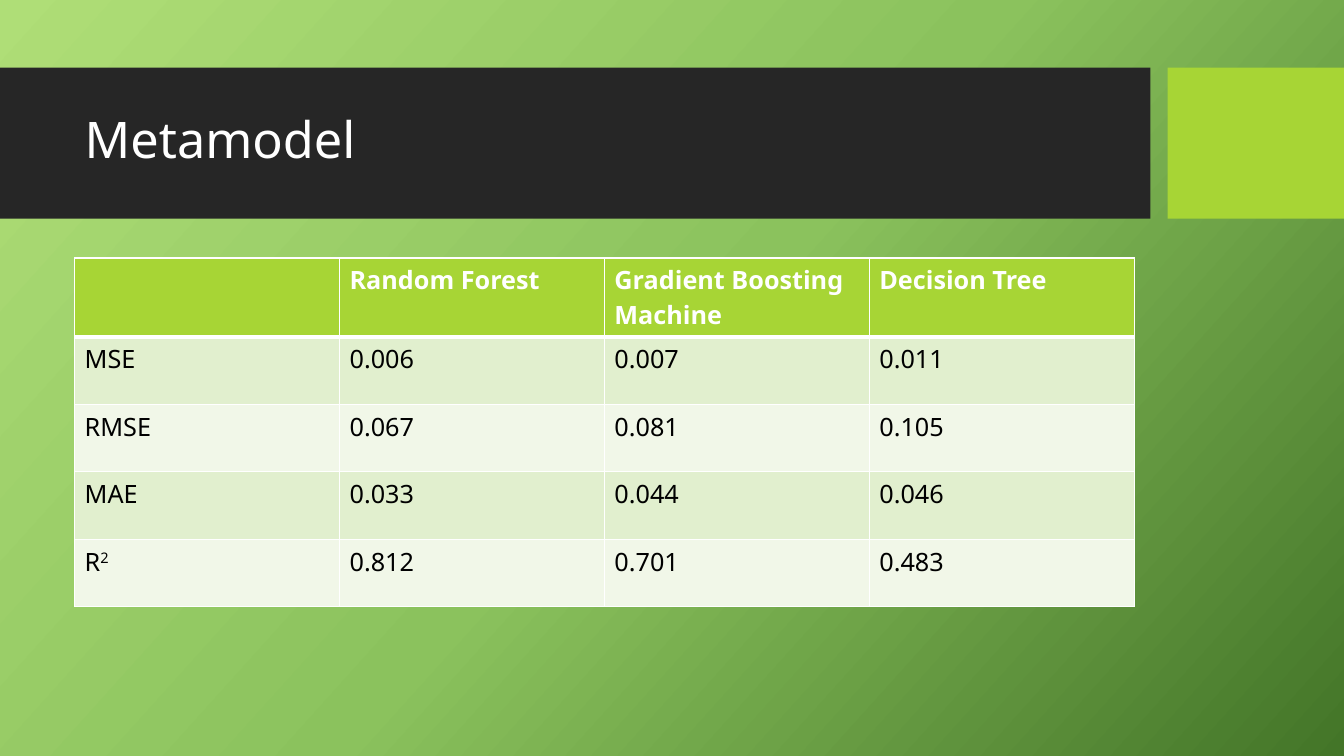
from copy import deepcopy
from typing import NamedTuple

from lxml import etree
from pptx import Presentation
from pptx import util as u
from pptx.dml.color import RGBColor
from pptx.enum import shapes, text
from pptx.oxml.ns import qn

FONT = "Noto Sans"
WHITE, BLACK, DARK, LIME = "FFFFFF", "000000", "262626", "A7D535"
ROW_FILLS = ("E1EFCE", "F1F7E8")


class Block(NamedTuple):
    left: float
    width: float
    color: str


class Metric(NamedTuple):
    name: str
    values: tuple[str, ...]
    superscript: str = ""


BLOCKS = (Block(0, 11.41, DARK), Block(11.58, 1.75, LIME))
MODELS = ("Random Forest", "Gradient Boosting Machine", "Decision Tree")
METRICS = (
    Metric("MSE", ("0.006", "0.007", "0.011")),
    Metric("RMSE", ("0.067", "0.081", "0.105")),
    Metric("MAE", ("0.033", "0.044", "0.046")),
    Metric("R", ("0.812", "0.701", "0.483"), "2"),
)


def rgb(color: str) -> RGBColor:
    return RGBColor.from_string(color)


def add_run(p, words: str, size: float, color: str, bold: bool = False):
    r = p.add_run()
    r.text = words
    r.font.name, r.font.size, r.font.bold = FONT, u.Pt(size), bold
    r.font.color.rgb = rgb(color)
    return r


def set_background(slide, colors: tuple[str, ...], angle: float) -> None:
    fill = slide.background.fill
    fill.gradient()
    fill.gradient_angle = 360 - angle
    stops = slide.element.find(".//" + qn("a:gsLst"))
    while len(stops) < len(colors):
        stops.append(deepcopy(stops[-1]))
    for i, (stop, color) in enumerate(zip(fill.gradient_stops, colors)):
        stop.color.rgb = rgb(color)
        stop.position = i / (len(colors) - 1)


def add_block(slide, block: Block) -> None:
    sp = slide.shapes.add_shape(
        shapes.MSO_SHAPE.RECTANGLE, u.Inches(block.left), u.Inches(0.67),
        u.Inches(block.width), u.Inches(1.5))
    sp.shadow.inherit = False
    sp.fill.solid()
    sp.fill.fore_color.rgb = rgb(block.color)
    sp.line.fill.background()


def style_cell(cell, color: str, top: float, bottom: float) -> None:
    tc_pr = cell._tc.get_or_add_tcPr()
    for side, width in (("L", 1), ("R", 1), ("T", top), ("B", bottom)):
        ln = etree.SubElement(tc_pr, qn(f"a:ln{side}"), w=str(u.Pt(width)))
        solid = etree.SubElement(ln, qn("a:solidFill"))
        etree.SubElement(solid, qn("a:srgbClr"), val=WHITE)
    cell.fill.solid()
    cell.fill.fore_color.rgb = rgb(color)


prs = Presentation()
prs.slide_width, prs.slide_height = u.Inches(13.33), u.Inches(7.5)
slide = prs.slides.add_slide(prs.slide_layouts[5])

# Background and title band
set_background(slide, ("AFDE77", "8BC25D", "437528"), 42)
for block in BLOCKS:
    add_block(slide, block)

# Title, brought in front of the band
title = slide.shapes.title
title.element.getparent().append(title.element)
title.left, title.top = u.Inches(0.74), u.Inches(0.82)
title.width, title.height = u.Inches(10.51), u.Inches(1.18)
tf = title.text_frame
tf.word_wrap = True
tf.vertical_anchor = text.MSO_ANCHOR.MIDDLE
p = tf.paragraphs[0]
p.alignment, p.line_spacing = text.PP_ALIGN.LEFT, 0.9
add_run(p, "Metamodel", 36, WHITE)

# Table of error metrics by model
table = slide.shapes.add_table(
    len(METRICS) + 1, len(MODELS) + 1, u.Inches(0.74), u.Inches(2.56),
    u.Inches(10.51), u.Inches(3.35)).table
for col, model in enumerate(("", *MODELS)):
    cell = table.cell(0, col)
    style_cell(cell, LIME, 1, 3)
    if model:
        add_run(cell.text_frame.paragraphs[0], model, 18, WHITE, True)

for row, metric in enumerate(METRICS, 1):
    for col, words in enumerate((metric.name, *metric.values)):
        cell = table.cell(row, col)
        style_cell(cell, ROW_FILLS[(row - 1) % 2], 3 if row == 1 else 1, 1)
        p = cell.text_frame.paragraphs[0]
        add_run(p, words, 18, BLACK)
        if col == 0 and metric.superscript:
            r = add_run(p, metric.superscript, 18, BLACK)
            r.font._element.set("baseline", "30000")

prs.save("out.pptx")
